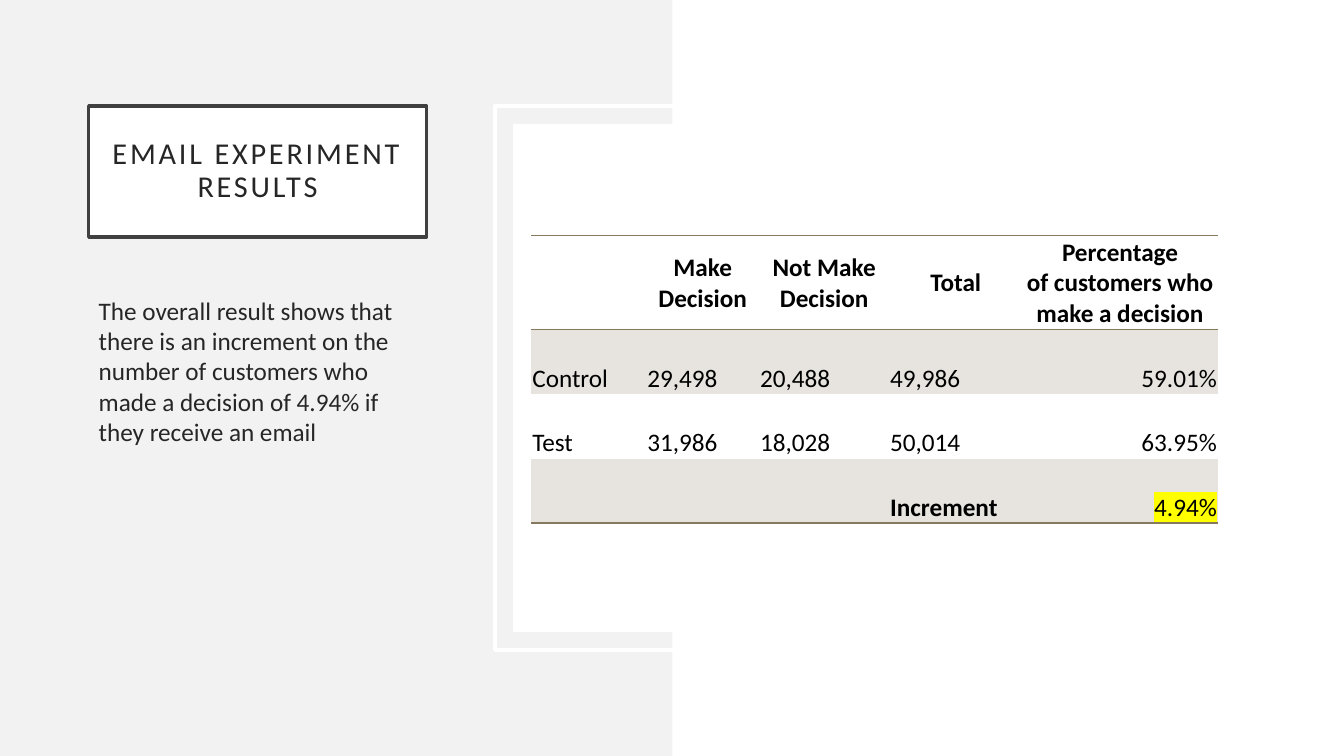
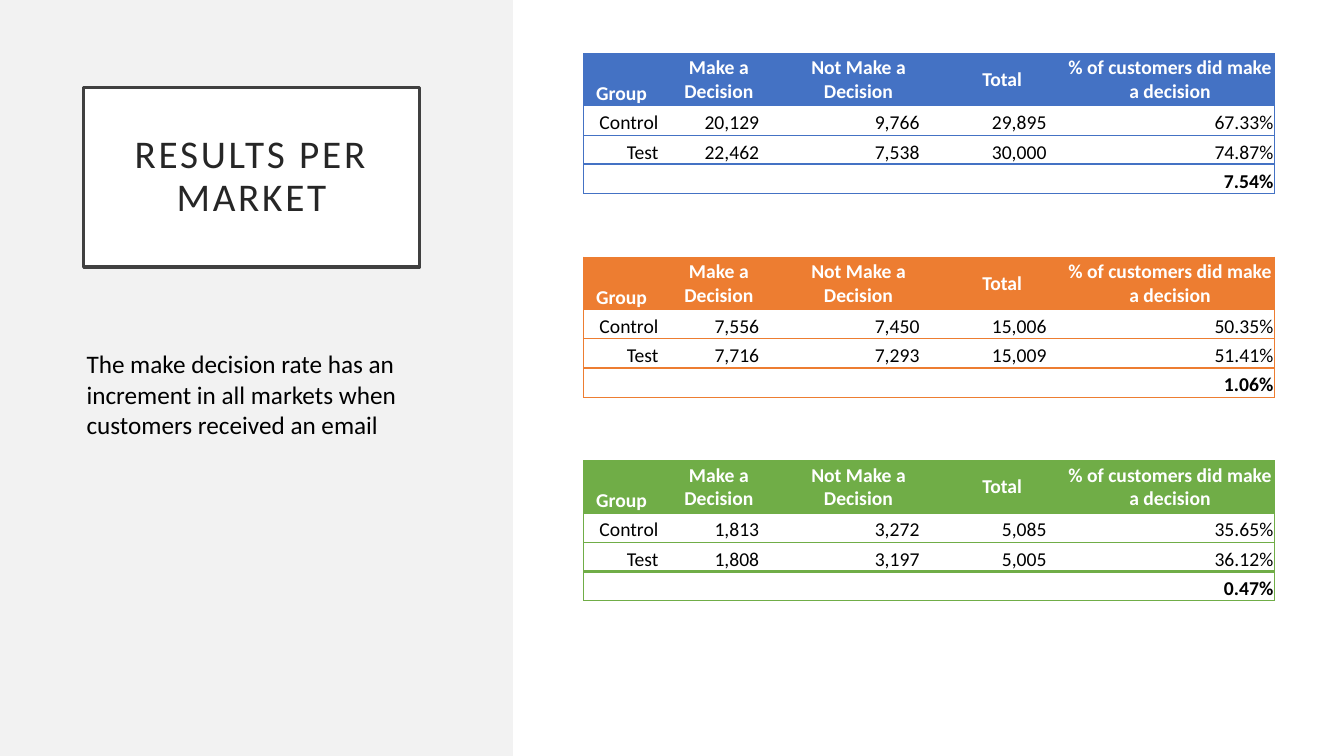
import pptx
import pptx.dml.color
import pptx.enum.shapes
import pptx.enum.text
import pptx.oxml.ns
import pptx.util
from lxml import etree

PX = 9144  # EMU per px, 100 px to the inch
SLIDE_W, SLIDE_H = 1333, 750
FONT = "Calibri"
WHITE, BLACK, PALE_GREY = "FFFFFF", "000000", "F2F2F2"
TITLE_INK, TITLE_LINE = "262626", "404040"
TAUPE, PALE_TAUPE, YELLOW = "87795D", "E7E4DF", "FFFF00"
PLAIN_TABLE_STYLE = "{2D5ABB26-0587-4C30-8999-92F81FD0307C}"

LEFT, CENTER, RIGHT = (
    pptx.enum.text.PP_ALIGN.LEFT,
    pptx.enum.text.PP_ALIGN.CENTER,
    pptx.enum.text.PP_ALIGN.RIGHT,
)
MIDDLE, BOTTOM = pptx.enum.text.MSO_ANCHOR.MIDDLE, pptx.enum.text.MSO_ANCHOR.BOTTOM

OVERALL_HEADS = ["", "Make Decision", "Not Make Decision", "Total",
                 "Percentage\nof customers who make a decision"]
OVERALL_ROWS = [
    ["Control", "29,498", "20,488", "49,986", "59.01%"],
    ["Test", "31,986", "18,028", "50,014", "63.95%"],
    ["", "", "", "Increment", "4.94%"],
]
MARKET_HEADS = ["Group", "Make a Decision", "Not Make a Decision", "Total",
                "% of customers did make a decision"]
MARKETS = [
    ("4472C4", [["Control", "20,129", "9,766", "29,895", "67.33%"],
                ["Test", "22,462", "7,538", "30,000", "74.87%"],
                ["", "", "", "", "7.54%"]]),
    ("ED7D31", [["Control", "7,556", "7,450", "15,006", "50.35%"],
                ["Test", "7,716", "7,293", "15,009", "51.41%"],
                ["", "", "", "", "1.06%"]]),
    ("70AD47", [["Control", "1,813", "3,272", "5,085", "35.65%"],
                ["Test", "1,808", "3,197", "5,005", "36.12%"],
                ["", "", "", "", "0.47%"]]),
]


def px(*lengths):
    return [pptx.util.Emu(length * PX) for length in lengths]


def rgb(color):
    return pptx.dml.color.RGBColor.from_string(color)


def paint(shape, fill=None, line=None):
    if fill:
        shape.fill.solid()
        shape.fill.fore_color.rgb = rgb(fill)
    else:
        shape.fill.background()
    if line:
        shape.line.color.rgb = rgb(line)
        shape.line.width = pptx.util.Pt(2.5)
    else:
        shape.line.fill.background()


def write(paragraph, text, size, color, bold=False, align=LEFT):
    paragraph.alignment = align
    run = paragraph.add_run()
    run.text = text
    run.font.name = FONT
    run.font.size = pptx.util.Pt(size)
    run.font.bold = bold
    run.font.color.rgb = rgb(color)
    return run


def highlight(run, color):
    properties = run.font._element
    marker = etree.Element(pptx.oxml.ns.qn("a:highlight"))
    etree.SubElement(marker, pptx.oxml.ns.qn("a:srgbClr"), val=color)
    properties.find(pptx.oxml.ns.qn("a:solidFill")).addnext(marker)


def add_box(slide, box, fill=None, line=None):
    shape = slide.shapes.add_shape(
        pptx.enum.shapes.MSO_SHAPE.RECTANGLE, *px(*box))
    shape.shadow.inherit = False
    paint(shape, fill, line)


def add_titled_slide(prs, text, box, size, side_inset):
    slide = prs.slides.add_slide(prs.slide_layouts[5])
    title = slide.shapes.title
    title.left, title.top, title.width, title.height = px(*box)
    paint(title, WHITE, TITLE_LINE)
    frame = title.text_frame
    frame.word_wrap = True
    frame.auto_size = pptx.enum.text.MSO_AUTO_SIZE.NONE
    frame.vertical_anchor = MIDDLE
    frame.margin_left, frame.margin_right = px(side_inset, side_inset)
    frame.margin_top, frame.margin_bottom = px(20, 20)
    paragraph = frame.paragraphs[0]
    paragraph.line_spacing = 0.9
    run = write(paragraph, text, size, TITLE_INK, align=CENTER)
    run.font._element.set("spc", "200")
    return slide


def add_note(slide, box, text, color):
    frame = slide.shapes.add_textbox(*px(*box)).text_frame
    frame.word_wrap = True
    write(frame.paragraphs[0], text, 18, color)


def add_plain_table(slide, left, top, widths, heights):
    table = slide.shapes.add_table(
        len(heights), len(widths),
        *px(left, top, sum(widths), sum(heights))).table
    properties = table._tbl.tblPr
    properties.find(pptx.oxml.ns.qn("a:tableStyleId")).text = PLAIN_TABLE_STYLE
    table.horz_banding = False
    for column, width in zip(table.columns, px(*widths)):
        column.width = width
    for row, height in zip(table.rows, px(*heights)):
        row.height = height
    return table


def fill_cell(cell, text, size, color=BLACK, bold=False, align=LEFT,
              anchor=BOTTOM, right_inset=1, fill=None, borders=None):
    """Format one cell; borders maps a side (L, R, T, B) to (colour, points)."""
    cell.margin_left, cell.margin_right = px(1, right_inset)
    cell.margin_top, cell.margin_bottom = px(1, 0)
    cell.vertical_anchor = anchor
    draw_borders(cell, borders or {})
    if fill:
        cell.fill.solid()
        cell.fill.fore_color.rgb = rgb(fill)
    else:
        cell.fill.background()
    frame = cell.text_frame
    if not text:
        end = frame.paragraphs[0]._p.get_or_add_endParaRPr()
        end.set("sz", str(size * 100))
        return None
    for index, line in enumerate(text.split("\n")):
        paragraph = frame.add_paragraph() if index else frame.paragraphs[0]
        run = write(paragraph, line, size, color, bold, align)
    return run


def draw_borders(cell, borders):
    properties = cell._tc.get_or_add_tcPr()
    for side in "LRTB":
        if side in borders:
            color, points = borders[side]
            line = etree.SubElement(properties, pptx.oxml.ns.qn("a:ln" + side),
                                    w=str(pptx.util.Pt(points)))
            solid = etree.SubElement(line, pptx.oxml.ns.qn("a:solidFill"))
            etree.SubElement(solid, pptx.oxml.ns.qn("a:srgbClr"), val=color)


def add_overall_table(slide):
    table = add_plain_table(slide, 527, 234, [114, 112, 129, 132, 194],
                            [93, 64, 64, 64])
    rule = (TAUPE, 1)
    for col, head in enumerate(OVERALL_HEADS):
        fill_cell(table.cell(0, col), head, 18, bold=True, align=CENTER,
                  anchor=MIDDLE, borders={"T": rule, "B": rule})
    last_col = len(OVERALL_HEADS) - 1
    for row, values in enumerate(OVERALL_ROWS, 1):
        is_increment = row == len(OVERALL_ROWS)
        for col, value in enumerate(values):
            run = fill_cell(table.cell(row, col), value, 18,
                            bold=value == "Increment",
                            align=RIGHT if col == last_col else LEFT,
                            fill=PALE_TAUPE if row % 2 else None,
                            borders={"B": rule} if is_increment else None)
    highlight(run, YELLOW)


def fill_market(table, first_row, color, rows):
    thin, thick = (color, 0.5), (color, 2)
    last_col = len(MARKET_HEADS) - 1
    # rules from the top of the header to the bottom of the increment
    rules = [thin, thin, thin, thick, thin]
    for offset, values in enumerate([MARKET_HEADS] + rows):
        for col, value in enumerate(values):
            borders = {"T": rules[offset], "B": rules[offset + 1]}
            if col == 0:
                borders["L"] = thin
            if col == last_col:
                borders["R"] = thin
            cell = table.cell(first_row + offset, col)
            if offset == 0:
                fill_cell(cell, value, 14, WHITE, True, CENTER,
                          MIDDLE if col else BOTTOM, fill=color, borders=borders)
            else:
                fill_cell(cell, value, 14, bold=offset == len(rows), align=RIGHT,
                          right_inset=19 if 0 < col < last_col else 1,
                          borders=borders)


def add_market_table(slide):
    block, gap = [52, 29, 29, 29], [31, 31]
    heights = (block + gap) * (len(MARKETS) - 1) + block
    table = add_plain_table(slide, 579, 53, [75, 118, 159, 126, 207], heights)
    pitch = len(block + gap)
    for index, (color, rows) in enumerate(MARKETS):
        fill_market(table, index * pitch, color, rows)
    for row in range(len(heights)):
        if row % pitch >= len(block):
            for col in range(len(MARKET_HEADS)):
                fill_cell(table.cell(row, col), "", 18)


def add_overall_slide(prs):
    slide = add_titled_slide(prs, "EMAIL EXPERIMENT RESULTS",
                             (88, 105, 335, 130), 21.6, 20)
    add_box(slide, (667, 0, SLIDE_W - 667, SLIDE_H), WHITE)
    add_note(slide, (88, 288, 335, 357),
             "The overall result shows that there is an increment on the number "
             "of customers who made a decision of 4.94% if they receive an email",
             TITLE_INK)
    add_box(slide, (491, 105, 753, 540), line=WHITE)
    add_box(slide, (509, 123, 717, 504), WHITE)
    add_overall_table(slide)


def add_market_slide(prs):
    slide = add_titled_slide(prs, "RESULTS PER MARKET",
                             (83, 87, 333, 178), 28, 30)
    add_box(slide, (509, 0, SLIDE_W - 509, SLIDE_H), WHITE)
    add_market_table(slide)
    add_note(slide, (76, 341, 341, 101),
             "The make decision rate has an increment in all markets when "
             "customers received an email", BLACK)


def main():
    prs = pptx.Presentation()
    prs.slide_width, prs.slide_height = px(SLIDE_W, SLIDE_H)
    backdrop = prs.slide_master.background.fill
    backdrop.solid()
    backdrop.fore_color.rgb = rgb(PALE_GREY)
    add_overall_slide(prs)
    add_market_slide(prs)
    prs.save("out.pptx")


if __name__ == "__main__":
    main()
